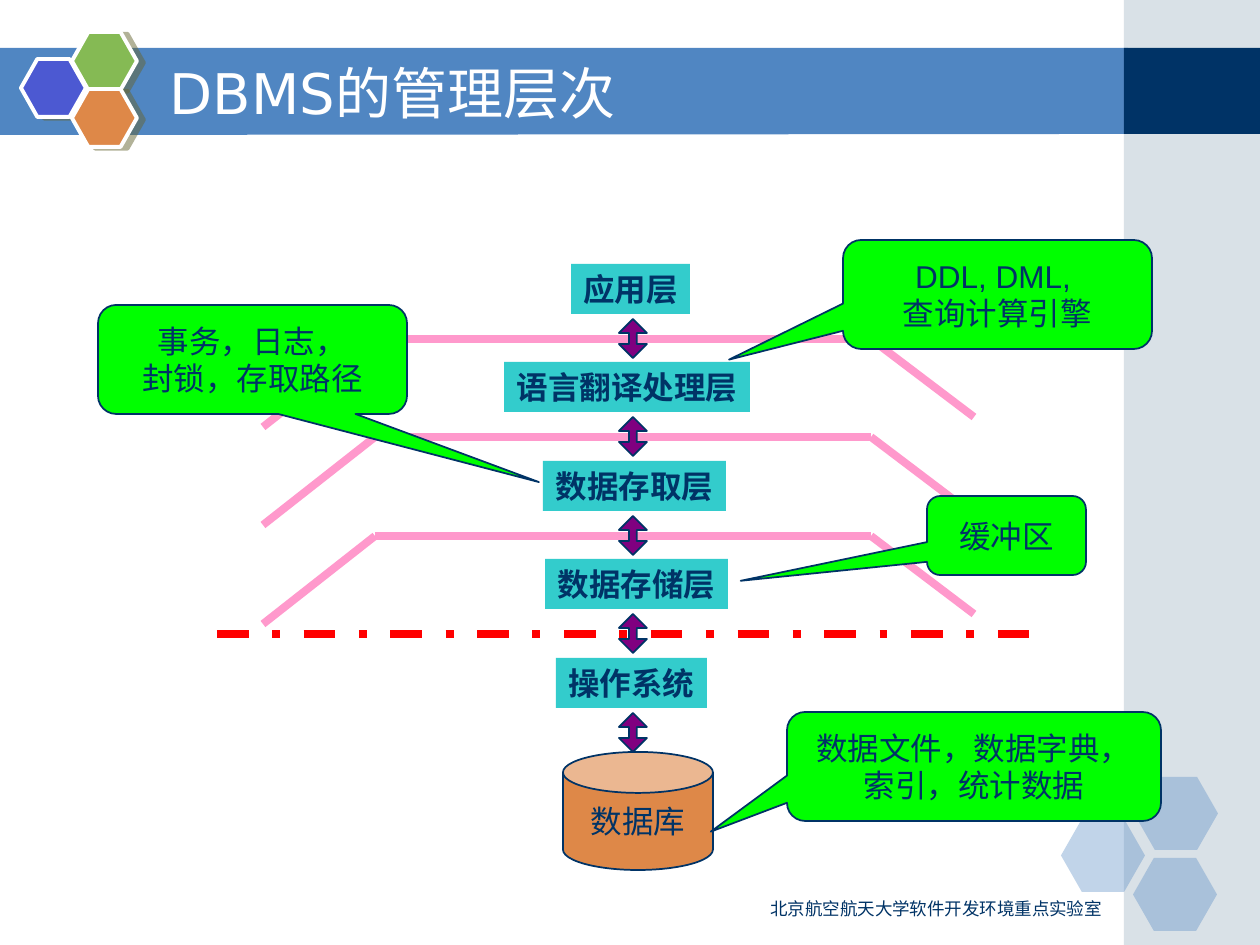
from lxml.etree import SubElement
from pptx import Presentation
from pptx.dml.color import RGBColor
from pptx.enum.dml import MSO_LINE
from pptx.enum.shapes import MSO_CONNECTOR, MSO_SHAPE
from pptx.enum.text import MSO_ANCHOR, PP_ALIGN
from pptx.oxml.ns import qn
from pptx.util import Pt

EMU_PER_PIXEL = 914400 / 126
WHITE = RGBColor(0xFF, 0xFF, 0xFF)
NAVY = RGBColor(0x00, 0x33, 0x66)
BLUE = RGBColor(0x50, 0x86, 0xC2)
GREY_BLUE = RGBColor(0xA0, 0xB5, 0xC4)
INDIGO = RGBColor(0x4C, 0x59, 0xD2)
LEAF = RGBColor(0x85, 0xBA, 0x54)
ORANGE = RGBColor(0xDE, 0x88, 0x48)
TEAL = RGBColor(0x33, 0xCC, 0xCC)
PINK = RGBColor(0xFF, 0x99, 0xCC)
RED = RGBColor(0xFF, 0x00, 0x00)
PURPLE = RGBColor(0x80, 0x00, 0x80)
GREEN = RGBColor(0x00, 0xFF, 0x00)

ROW_PITCH = 98.4
LAYERS = [
    ("应用层", 571, 119),
    ("语言翻译处理层", 504, 246),
    ("数据存取层", 543, 183),
    ("数据存储层", 545, 183),
    ("操作系统", 556, 151),
]
CALLOUTS = [
    ("数据文件，数据字典，\n索引，统计数据", (787, 712, 374, 109), (-0.704, 0.598)),
    ("缓冲区", (927, 496, 159, 79), (-1.672, 0.573)),
    ("DDL, DML, \n查询计算引擎", (843, 240, 309, 109), (-0.869, 0.598)),
    ("事务，日志，\n封锁，存取路径", (98, 305, 309, 109), (0.927, 1.125)),
]
FADED_HEXAGONS = [(1061, 819), (1134, 777), (1133, 858)]
EMBLEM_HEXAGONS = [(21, 59, INDIGO), (72, 32, LEAF), (72, 89, ORANGE)]


def px(length):
    """Turn pixels into EMU."""
    return round(length * EMU_PER_PIXEL)


def row_y(first, row):
    """Return the top of an item that repeats on every layer row."""
    return round(first + row * ROW_PITCH)


def style_text(frame, text, size, color, font="Arial", bold=False, align=PP_ALIGN.CENTER):
    """Write text into a frame and format all its runs."""
    frame.text = text
    frame.vertical_anchor = MSO_ANCHOR.MIDDLE
    for paragraph in frame.paragraphs:
        paragraph.alignment = align
        for run in paragraph.runs:
            run.font.name = font
            run.font.size = Pt(size)
            run.font.bold = bold
            run.font.color.rgb = color


def paint(shape, fill, outline=None, width=1, alpha=None):
    """Give a shape its fill, outline and opacity, without a shadow."""
    shape.shadow.inherit = False
    shape.fill.solid()
    shape.fill.fore_color.rgb = fill
    if alpha:
        color = shape.element.spPr.find(".//" + qn("a:srgbClr"))
        SubElement(color, qn("a:alpha"), val=str(alpha * 1000))
    if outline is None:
        shape.line.fill.background()
    else:
        shape.line.color.rgb = outline
        shape.line.width = Pt(width)


def add_figure(slide, preset, box, fill, adjustments=(), text=None, bold=False, **paint_options):
    """Add a painted preset shape, with centred text if given."""
    figure = slide.shapes.add_shape(preset, *map(px, box))
    for index, value in enumerate(adjustments):
        figure.adjustments[index] = value
    paint(figure, fill, **paint_options)
    if text:
        style_text(figure.text_frame, text, 18, NAVY, bold=bold)
        figure.text_frame.word_wrap = False
    return figure


def add_line(slide, start, end, color, dash=None):
    """Add a thick straight line."""
    connector = slide.shapes.add_connector(MSO_CONNECTOR.STRAIGHT, *map(px, start + end))
    connector.line.color.rgb = color
    connector.line.width = Pt(4.5)
    if dash:
        connector.line.dash_style = dash
    SubElement(connector.element.spPr, qn("a:effectLst"))


def add_cast_shadow(shape):
    """Give a shape a hard half-transparent shadow to its right."""
    effects = shape.element.spPr.find(qn("a:effectLst"))
    shadow = SubElement(effects, qn("a:outerShdw"), blurRad="0", dist=str(Pt(4.1)),
                        dir=str(14 * 60000), algn="ctr", rotWithShape="0")
    color = SubElement(shadow, qn("a:srgbClr"), val="666633")
    SubElement(color, qn("a:alpha"), val="50000")


def add_backdrop(slide):
    """Draw the title band, the side column and the hexagons."""
    builder = slide.shapes.build_freeform(-1, 48, scale=EMU_PER_PIXEL)
    builder.add_line_segments([(1128, 48), (1128, 134), (-1, 135)], close=True)
    paint(builder.convert_to_shape(), BLUE)
    add_figure(slide, MSO_SHAPE.RECTANGLE, (1124, 0, 136, 945), GREY_BLUE, alpha=40)
    add_figure(slide, MSO_SHAPE.RECTANGLE, (1124, 48, 136, 86), NAVY)
    for left, top in FADED_HEXAGONS:
        add_figure(slide, MSO_SHAPE.HEXAGON, (left, top, 84, 73), BLUE, [0.286], alpha=35)
    for left, top, color in EMBLEM_HEXAGONS:
        hexagon = add_figure(slide, MSO_SHAPE.HEXAGON, (left, top, 65, 58), color, [0.283],
                             outline=WHITE, width=2.25)
        add_cast_shadow(hexagon)


def add_title(slide):
    """Place the title over the band."""
    title = slide.shapes.title
    title.left, title.top, title.width, title.height = map(px, (157, 53, 924, 78))
    style_text(title.text_frame, "DBMS的管理层次", 32, WHITE, "DejaVu Sans", align=PP_ALIGN.LEFT)
    title.element.getparent().append(title.element)


def add_footer(slide):
    """Write the laboratory name at the bottom."""
    footer = slide.shapes.add_textbox(*map(px, (714, 892, 400, 33)))
    footer.text_frame.word_wrap = True
    style_text(footer.text_frame, "北京航空航天大学软件开发环境重点实验室", 10, NAVY,
               "DejaVu Sans", align=PP_ALIGN.RIGHT)
    footer.text_frame.vertical_anchor = MSO_ANCHOR.TOP


def add_boundaries(slide):
    """Draw the pink roofs and the red line between the layers."""
    for row in range(3):
        y = row_y(339, row)
        add_line(slide, (375, y), (871, y), PINK)
        add_line(slide, (375, y), (263, y + 88), PINK)
        add_line(slide, (871, y), (974, y + 78), PINK)
    y = row_y(339, 3)
    add_line(slide, (217, y), (1048, y), RED, MSO_LINE.DASH_DOT)


def add_layers(slide):
    """Stack the layers, their arrows and the database."""
    add_figure(slide, MSO_SHAPE.CAN, (563, 752, 150, 118), ORANGE, [0.347], "数据库",
               outline=NAVY)
    for row, (name, left, width) in enumerate(LAYERS):
        add_figure(slide, MSO_SHAPE.RECTANGLE, (left, row_y(264, row), width, 50), TEAL,
                   text=name, bold=True)
        add_figure(slide, MSO_SHAPE.UP_DOWN_ARROW, (619, row_y(319, row), 28, 39), PURPLE,
                   [0.5, 0.28], outline=NAVY)


def add_callouts(slide):
    """Explain the layers in speech bubbles."""
    for text, box, tip in CALLOUTS:
        add_figure(slide, MSO_SHAPE.ROUNDED_RECTANGULAR_CALLOUT, box, GREEN, (*tip, 0.167),
                   text, outline=NAVY)


def main():
    """Build and save the slide."""
    presentation = Presentation()
    presentation.slide_width, presentation.slide_height = px(1260), px(945)
    slide = presentation.slides.add_slide(presentation.slide_layouts[5])
    add_backdrop(slide)
    add_title(slide)
    add_footer(slide)
    add_boundaries(slide)
    add_layers(slide)
    add_callouts(slide)
    presentation.save("out.pptx")


main()
